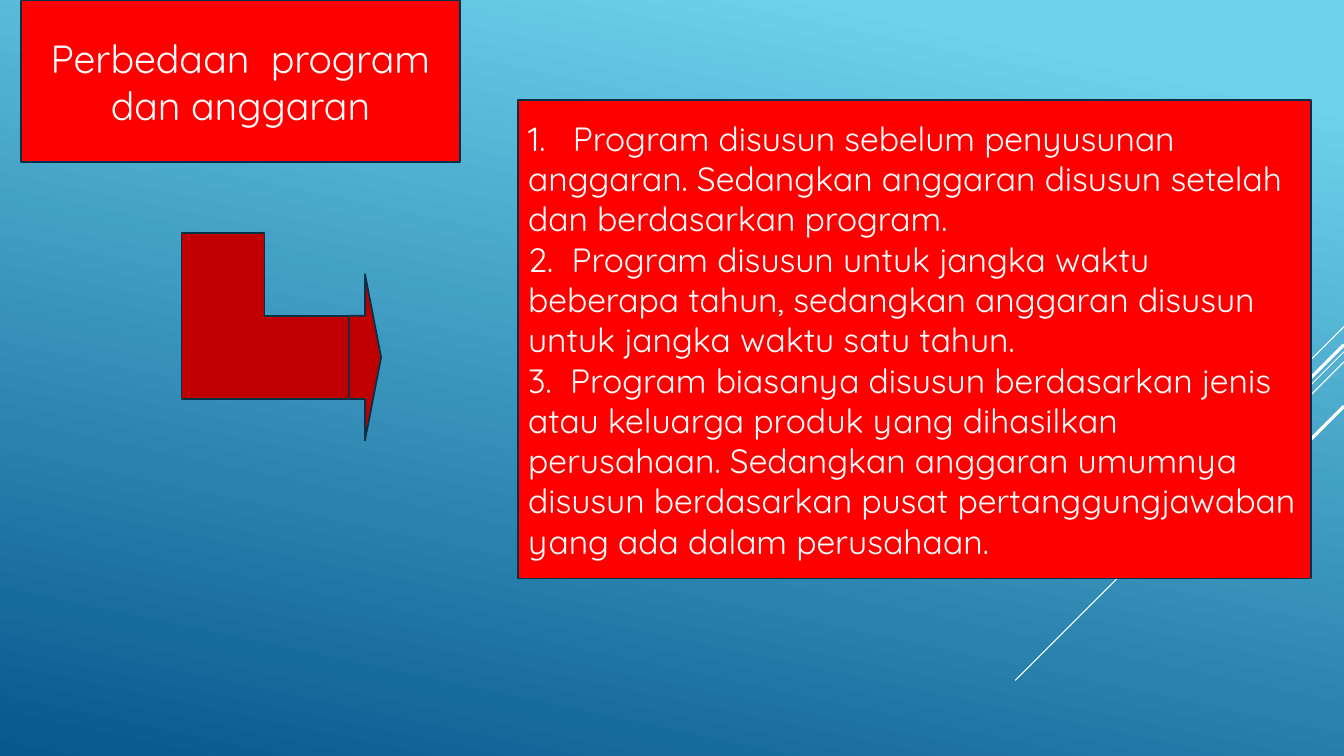
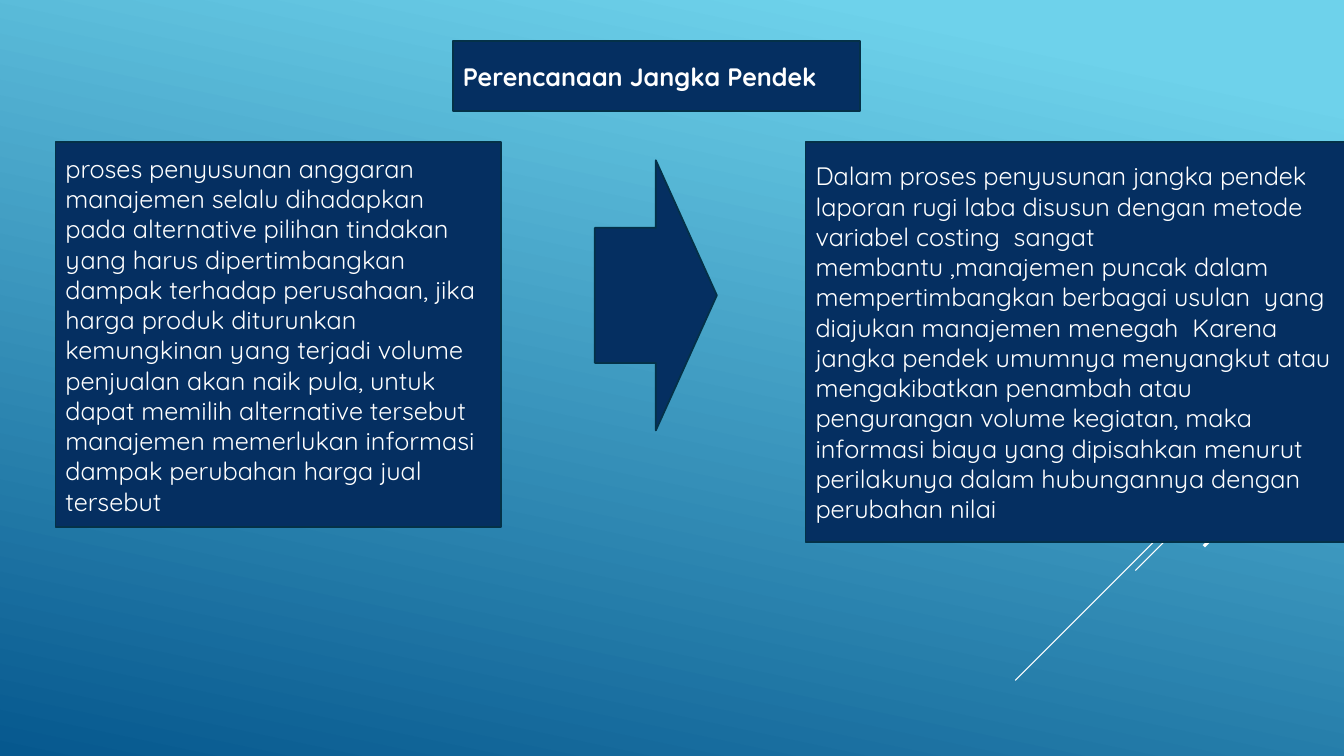
from lxml import etree
from pptx import Presentation
from pptx.dml.color import RGBColor
from pptx.enum.shapes import MSO_CONNECTOR, MSO_SHAPE
from pptx.enum.text import MSO_ANCHOR, MSO_AUTO_SIZE, PP_ALIGN
from pptx.oxml.ns import qn
from pptx.util import Pt

STRAIGHT = MSO_CONNECTOR.STRAIGHT
RECTANGLE = MSO_SHAPE.RECTANGLE
CORNER = MSO_SHAPE.CORNER
RIGHT_ARROW = MSO_SHAPE.RIGHT_ARROW
MIDDLE = MSO_ANCHOR.MIDDLE
NO_AUTOFIT = MSO_AUTO_SIZE.NONE
LEFT, CENTER = PP_ALIGN.LEFT, PP_ALIGN.CENTER

PX = 9144  # EMU in one px, 100 px to the inch
WIDTH, HEIGHT = 1333, 750
FONT = "Quicksand"
TITLE_ONLY = 5
COLORS = {
    "sky": "6ED2EB",
    "sea": "06588E",
    "white": "FFFFFF",
    "outline": "043148",
    "red": "FF0000",
    "dark_red": "C00000",
    "navy": "052F61",
}
# Diagonals from the right edge: top, run to the left and down, line width
DIAGONALS = [
    (324, 100, 0.75),
    (349, 326, 0.75),
    (359, 207, 0.75),
    (342, 191, 2.25),
    (403, 139, 2.25),
]

DIFFERENCES = [
    "1.   Program disusun sebelum penyusunan anggaran. Sedangkan anggaran "
    "disusun setelah dan berdasarkan program.",
    "2.  Program disusun untuk jangka waktu beberapa tahun, sedangkan "
    "anggaran disusun untuk jangka waktu satu tahun.",
    "3.  Program biasanya disusun berdasarkan jenis atau keluarga produk "
    "yang dihasilkan perusahaan. Sedangkan anggaran umumnya disusun "
    "berdasarkan pusat pertanggungjawaban yang ada dalam perusahaan.",
]
BUDGET_PROCESS = (
    "proses penyusunan anggaran manajemen selalu dihadapkan pada alternative "
    "pilihan tindakan yang harus dipertimbangkan dampak terhadap perusahaan, "
    "jika harga produk diturunkan kemungkinan yang terjadi volume penjualan "
    "akan naik pula, untuk dapat memilih alternative tersebut manajemen "
    "memerlukan informasi dampak perubahan harga jual tersebut"
)
SHORT_TERM = (
    "Dalam proses penyusunan jangka pendek  laporan rugi laba disusun dengan "
    "metode variabel costing  sangat membantu ,manajemen puncak dalam "
    "mempertimbangkan berbagai usulan  yang diajukan manajemen menegah  "
    "Karena jangka pendek umumnya menyangkut atau mengakibatkan penambah atau "
    "pengurangan volume kegiatan, maka informasi biaya yang dipisahkan menurut "
    "perilakunya dalam hubungannya dengan perubahan nilai"
)


def color(name):
    return RGBColor.from_string(COLORS[name])


def write_text(shape, paragraphs, size=18, bold=False, align=LEFT):
    frame = shape.text_frame
    frame.word_wrap = True
    frame.auto_size = NO_AUTOFIT
    frame.vertical_anchor = MIDDLE
    for index, text in enumerate(paragraphs):
        para = frame.add_paragraph() if index else frame.paragraphs[0]
        para.alignment = align
        span = para.add_run()
        span.text = text
        span.font.name = FONT
        span.font.size = Pt(size)
        span.font.bold = bold
        span.font.color.rgb = color("white")


def paint(shape, fill):
    shape.fill.solid()
    shape.fill.fore_color.rgb = color(fill)
    shape.line.color.rgb = color("outline")
    shape.line.width = Pt(1.25)


def add_block(page, kind, box, fill):
    shape = page.shapes.add_shape(kind, *(length * PX for length in box))
    shape.shadow.inherit = False
    paint(shape, fill)
    return shape


def add_text_panel(page, box, fill, paragraphs, **text_format):
    panel = add_block(page, RECTANGLE, box, fill)
    write_text(panel, paragraphs, **text_format)


def place_title(page, box, fill, text, **text_format):
    title = page.shapes.title
    title.left, title.top, title.width, title.height = (
        length * PX for length in box)
    paint(title, fill)
    write_text(title, [text], **text_format)


def set_background(deck):
    fill = deck.slide_master.background.fill
    fill.gradient()
    fill.gradient_angle = 258
    stops = zip(fill.gradient_stops, (("sky", 0.1), ("sea", 1)))
    for stop, (name, position) in stops:
        stop.color.rgb = color(name)
        stop.position = position


def add_diagonals(page):
    for top, run, width in DIAGONALS:
        line = page.shapes.add_connector(
            STRAIGHT, WIDTH * PX, top * PX,
            (WIDTH - run) * PX, (top + run) * PX)
        line.line.color.rgb = color("white")
        line.line.width = Pt(width)
        etree.SubElement(line.element.spPr, qn("a:effectLst"))


def add_page(deck):
    page = deck.slides.add_slide(deck.slide_layouts[TITLE_ONLY])
    add_diagonals(page)
    return page


def add_bent_arrow(page, box, head_width):
    """An L-shaped stem whose foot, half as high, runs into an arrowhead."""
    left, top, width, height = box
    add_block(page, CORNER, box, "dark_red")
    head = (left + width, top + height // 4, head_width, height)
    add_block(page, RIGHT_ARROW, head, "dark_red")


def build_differences(deck):
    page = add_page(deck)
    place_title(page, (21, 0, 435, 161), "red",
                "Perbedaan  program dan anggaran", size=28, align=CENTER)
    add_text_panel(page, (514, 99, 786, 475), "red", DIFFERENCES, size=24)
    add_bent_arrow(page, (180, 231, 166, 165), 32)


def build_short_term(deck):
    page = add_page(deck)
    place_title(page, (449, 41, 404, 69), "navy",
                "Perencanaan Jangka Pendek", bold=True)
    add_text_panel(page, (55, 141, 442, 382), "navy", [BUDGET_PROCESS])
    add_block(page, RIGHT_ARROW, (590, 159, 121, 268), "navy")
    add_text_panel(page, (799, 141, 535, 397), "navy", [SHORT_TERM])


def main():
    deck = Presentation()
    deck.slide_width, deck.slide_height = WIDTH * PX, HEIGHT * PX
    set_background(deck)
    build_differences(deck)
    build_short_term(deck)
    deck.save("out.pptx")


if __name__ == "__main__":
    main()
